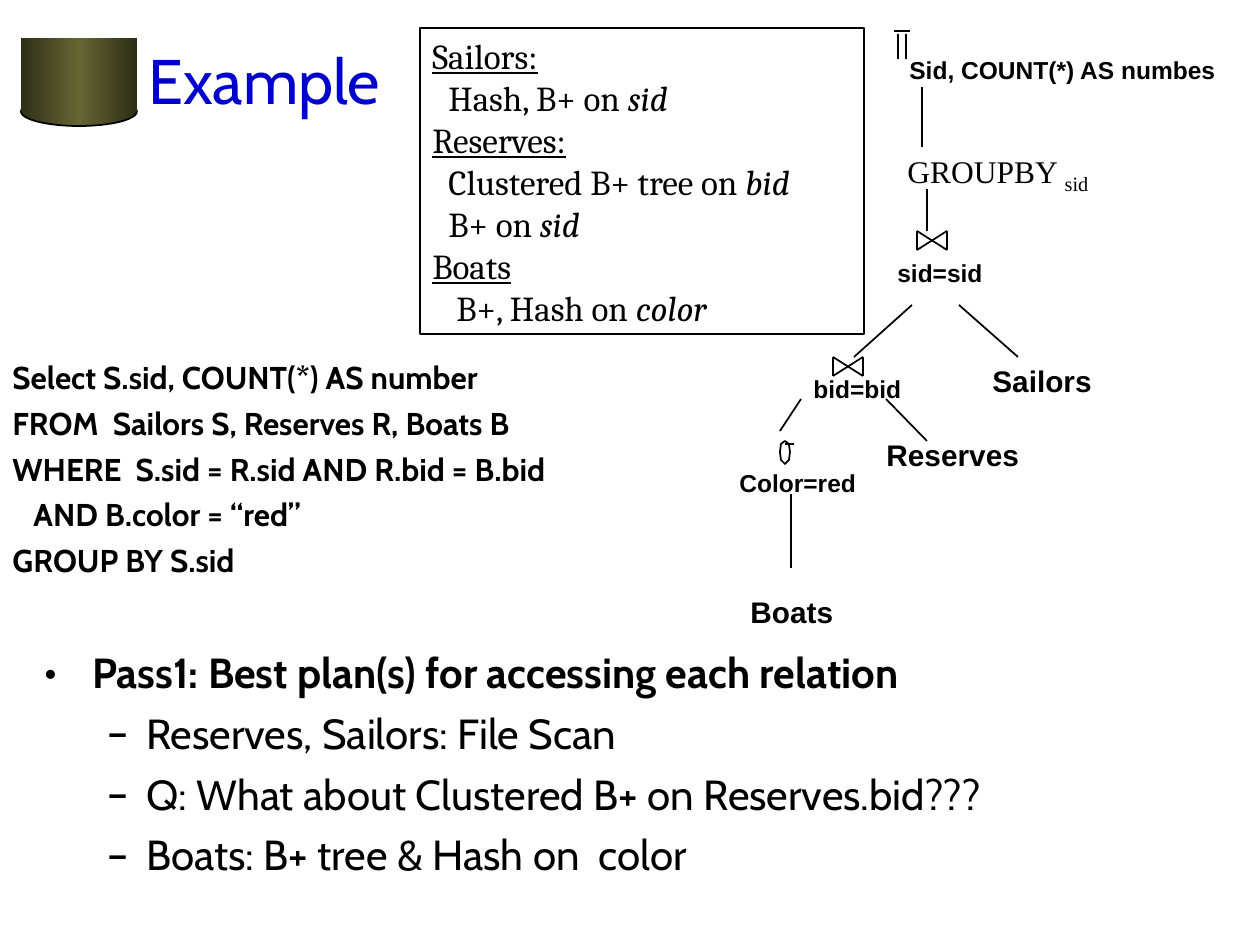
from copy import deepcopy

from lxml.etree import SubElement
from pptx import Presentation
from pptx.dml.color import RGBColor
from pptx.enum.shapes import MSO_CONNECTOR, MSO_SHAPE
from pptx.enum.text import MSO_ANCHOR, MSO_AUTO_SIZE, PP_ALIGN
from pptx.oxml.ns import qn
from pptx.util import Emu, Pt

EMU_PER_PX = 914400 / 126


def px(length):
    return Emu(round(length * EMU_PER_PX))


def color(hex_code):
    return RGBColor.from_string(hex_code)


class PlanSlide:
    INK = "000000"
    OLIVE = ("2F2F18", "666633", "2F2F18")
    LINE_WIDTH = Pt(1)

    def __init__(self, slide):
        self.shapes = slide.shapes

    def outline(self, shape):
        shape.line.color.rgb = color(self.INK)
        shape.line.width = self.LINE_WIDTH

    def olive_shape(self, kind, box, outlined=False):
        shape = self.shapes.add_shape(kind, *map(px, box))
        shape.shadow.inherit = False
        shape.fill.gradient()
        shape.fill.gradient_angle = 0
        stop_list = shape._element.spPr.find(".//" + qn("a:gsLst"))
        stop_list.append(deepcopy(stop_list[0]))
        for index, stop in enumerate(shape.fill.gradient_stops):
            stop.position = index / 2
            stop.color.rgb = color(self.OLIVE[index])
        if outlined:
            self.outline(shape)
        else:
            shape.line.fill.background()

    def line(self, x1, y1, x2, y2):
        connector = self.shapes.add_connector(
            MSO_CONNECTOR.STRAIGHT, px(x1), px(y1), px(x2), px(y2))
        self.outline(connector)
        SubElement(connector._element.spPr, qn("a:effectLst"))

    def polygon(self, points):
        builder = self.shapes.build_freeform(*points[0], scale=EMU_PER_PX)
        builder.add_line_segments(points[1:], close=True)
        shape = builder.convert_to_shape()
        shape.shadow.inherit = False
        shape.fill.background()
        self.outline(shape)

    def join_symbol(self, left, top, width=30, height=19):
        right, bottom = left + width, top + height
        self.line(left, top, left, bottom)
        self.line(right, top, right, bottom)
        self.line(left, top, right, bottom)
        self.line(left, bottom, right, top)

    def text_box(self, box, wrap=True, grow=False):
        """Add an empty text box and return its text frame."""
        frame = self.shapes.add_textbox(*map(px, box)).text_frame
        frame.word_wrap = wrap
        frame.auto_size = (MSO_AUTO_SIZE.SHAPE_TO_FIT_TEXT if grow
                           else MSO_AUTO_SIZE.NONE)
        return frame

    def paragraph(self, frame, runs, font, size, bold=False, ink=INK,
                  before=0, indent=0, hanging=0, bullet=None):
        """Add (text, mark) runs; marks are u, i, sub or empty."""
        first = frame.paragraphs[0]
        paragraph = frame.add_paragraph() if first.runs else first
        paragraph.alignment = PP_ALIGN.LEFT
        paragraph.space_before = Pt(before)
        properties = paragraph._p.get_or_add_pPr()
        properties.set("marL", str(px(indent)))
        properties.set("indent", str(-px(hanging)))
        if bullet:
            SubElement(properties, qn("a:buFont"), typeface=font)
            SubElement(properties, qn("a:buChar"), char=bullet)
        paragraph.font.name = font
        paragraph.font.size = Pt(size)
        paragraph.font.bold = bold
        paragraph.font.color.rgb = color(ink)
        for text, mark in runs:
            run = paragraph.add_run()
            run.text = text
            if mark == "u":
                run.font.underline = True
            elif mark == "i":
                run.font.italic = True
            elif mark == "sub":
                run.font.size = Pt(20)
                run._r.get_or_add_rPr().set("baseline", "-25000")
        return paragraph

    def label(self, text, box, size):
        frame = self.text_box(box, wrap=False, grow=True)
        self.paragraph(frame, [(text, "")], "Arial", size, bold=True)


INDEXES = [
    (0, [("Sailors:", "u")]),
    (16, [("Hash, B+ on ", ""), ("sid", "i")]),
    (0, [("Reserves:", "u")]),
    (16, [("Clustered B+ tree on ", ""), ("bid", "i")]),
    (16, [("B+ on", ""), (" sid", "i")]),
    (0, [("Boats", "u")]),
    (24, [("B+, Hash on", ""), (" color", "i")]),
]
QUERY = [
    (0, "Select S.sid, COUNT(*) AS number"),
    (0, "FROM  Sailors S, Reserves R, Boats B"),
    (0, "WHERE  S.sid = R.sid AND R.bid = B.bid"),
    (21, "AND B.color = “red”"),
    (0, "GROUP BY S.sid"),
]
PASS_STEPS = [
    "Reserves, Sailors: File Scan",
    "Q: What about Clustered B+ on Reserves.bid???",
    "Boats: B+ tree & Hash on  color",
]
RELATIONS = [
    ("Reserves", (874, 431, 158, 48)),
    ("Sailors", (980, 357, 125, 48)),
    ("Boats", (738, 588, 116, 48)),
]
OPERATORS = [
    ("Sid, COUNT(*) AS numbes", (897, 49, 333, 42)),
    ("sid=sid", (885, 252, 111, 42)),
    ("bid=bid", (801, 368, 113, 42)),
    ("Color=red", (727, 462, 146, 42)),
]
PROJECTION_SYMBOL = [
    (898, 34, 898, 59), (906, 34, 906, 59), (894, 31, 910, 31)]
SELECTION_LOOP = [(790, 452), (789, 444), (785, 441), (781, 444),
                  (780, 452), (781, 460), (785, 464), (789, 460)]
SELECTION_BAR = (785, 444, 794, 444)
TREE_EDGES = [
    (922, 87, 922, 147), (927, 189, 927, 231),
    (854, 357, 912, 305), (959, 305, 1018, 357),
    (886, 399, 927, 441), (801, 399, 780, 431),
    (791, 494, 791, 568),
]


def main():
    presentation = Presentation()
    presentation.slide_width, presentation.slide_height = px(1260), px(945)
    plan = PlanSlide(
        presentation.slides.add_slide(presentation.slide_layouts[6]))

    plan.olive_shape(MSO_SHAPE.OVAL, (21, 97, 116, 29), outlined=True)
    plan.olive_shape(MSO_SHAPE.RECTANGLE, (21, 38, 116, 74))
    title = plan.text_box((136, 0, 1071, 158))
    title.vertical_anchor = MSO_ANCHOR.MIDDLE
    plan.paragraph(title, [("Example", "")], "Cabin", 36, ink="0000CC")

    index_box = (420, 28, 444, 306)
    frame_shape = plan.shapes.add_shape(
        MSO_SHAPE.RECTANGLE, *map(px, index_box))
    frame_shape.shadow.inherit = False
    frame_shape.fill.background()
    plan.outline(frame_shape)
    indexes = frame_shape.text_frame
    indexes.word_wrap = True
    indexes.vertical_anchor = MSO_ANCHOR.TOP
    for indent, runs in INDEXES:
        plan.paragraph(indexes, runs, "Cambria", 20, indent=indent)

    query = plan.text_box((0, 352, 1354, 562))
    for indent, clause in QUERY:
        plan.paragraph(query, [(clause, "")], "Cabin", 18, bold=True,
                       before=4.5, indent=indent)

    for edge in PROJECTION_SYMBOL + TREE_EDGES + [SELECTION_BAR]:
        plan.line(*edge)
    plan.join_symbol(917, 231)
    plan.join_symbol(833, 357)
    plan.polygon(SELECTION_LOOP)
    for name, box in RELATIONS:
        plan.label(name, box, 17)
    for condition, box in OPERATORS:
        plan.label(condition, box, 14)
    grouping = plan.text_box((895, 142, 207, 60), wrap=False, grow=True)
    plan.paragraph(grouping, [("GROUPBY ", ""), ("sid", "sub")],
                   "Times New Roman", 18)

    passes = plan.text_box((32, 640, 1166, 368))
    plan.paragraph(
        passes, [("Pass1: Best plan(s) for accessing each relation", "")],
        "Cabin", 24, bold=True, before=6, indent=48, hanging=48, bullet="•")
    for step in PASS_STEPS:
        paragraph = plan.paragraph(
            passes, [(step, "")], "Cabin", 24, before=6,
            indent=102, hanging=39, bullet="–")
        paragraph.level = 1

    presentation.save("out.pptx")


if __name__ == "__main__":
    main()
